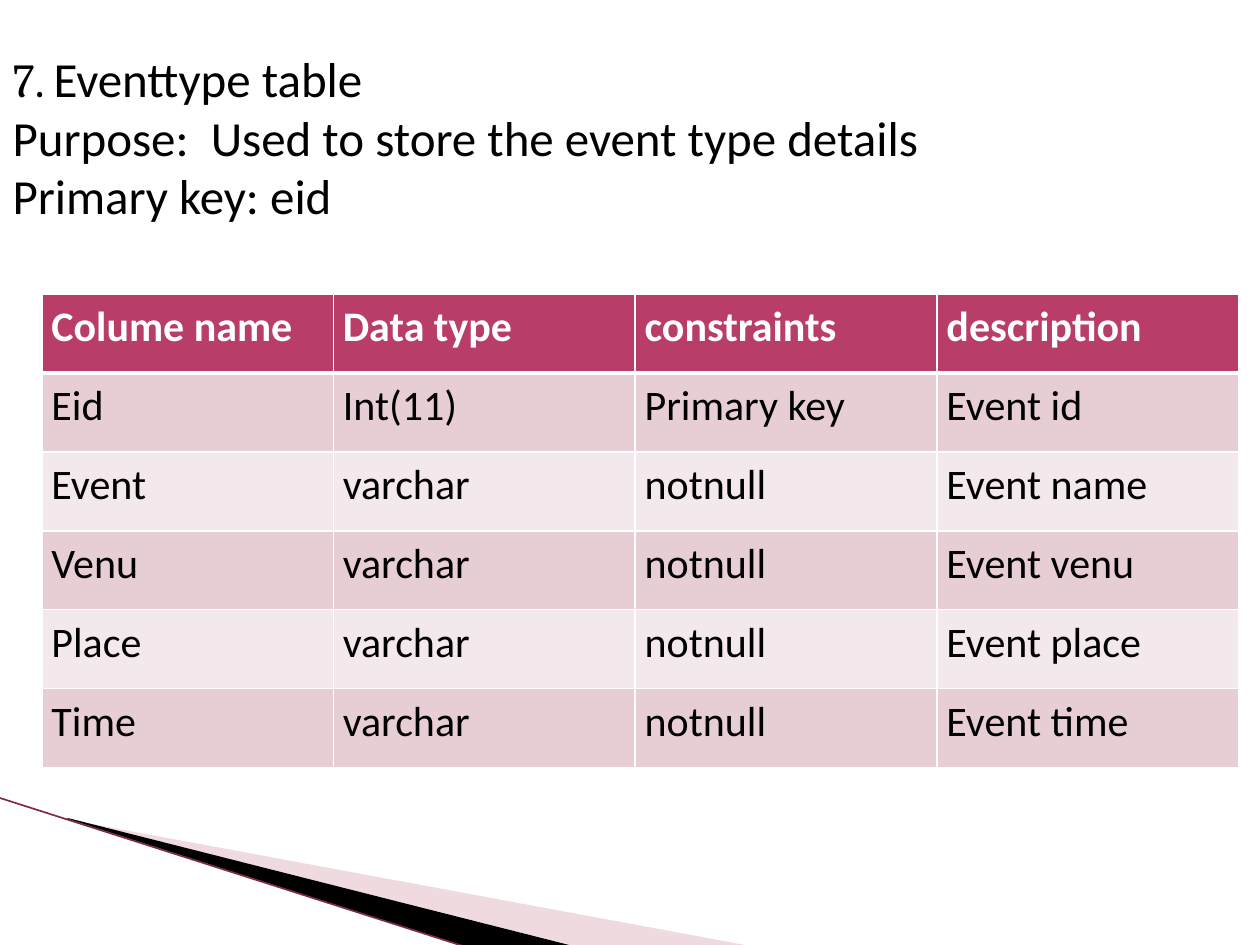
from dataclasses import dataclass

from lxml import etree
from pptx import Presentation
from pptx.dml.color import RGBColor
from pptx.enum.shapes import MSO_CONNECTOR
from pptx.enum.text import MSO_ANCHOR, MSO_AUTO_SIZE, PP_ALIGN
from pptx.oxml.ns import qn
from pptx.util import Pt

STRAIGHT = MSO_CONNECTOR.STRAIGHT
TOP = MSO_ANCHOR.TOP
NO_FIT = MSO_AUTO_SIZE.NONE
LEFT = PP_ALIGN.LEFT


@dataclass(frozen=True)
class Theme:
    ink: str = "000000"
    white: str = "FFFFFF"
    head: str = "B83D68"
    bands: tuple[str, str] = ("E6CED4", "F3E8EB")
    blush: str = "D8A3AF"
    edge: str = "7F2A48"
    sans: str = "Calibri"
    serif: str = "Cambria"
    mark_size: float = 27
    lead_size: float = 28
    cell_size: float = 24


@dataclass(frozen=True)
class Span:
    text: str
    font: str
    size: float
    color: str
    bold: bool = False


@dataclass(frozen=True)
class Wedge:
    frame: tuple[float, float, float, float]
    points: tuple[tuple[float, float], ...]
    color: str
    alpha: int = 100


THEME = Theme()
WEDGES = (
    Wedge((56.2, 393.8, 299.5, 113.8),
          ((39.6, 468.5), (428.4, 540.5), (328.3, 540.5), (39.6, 468)),
          THEME.blush, 40),
    Wedge((-4.3, 455.8, 299.5, 66.2),
          ((38.2, 467.3), (328.5, 540.8), (267.8, 541.4), (38.9, 468)),
          THEME.ink),
)
LEADS = (
    (
        Span("7. ", THEME.serif, THEME.mark_size, THEME.ink),
        Span("Eventtype table", THEME.sans, THEME.lead_size, THEME.ink),
    ),
    (Span("Purpose:  Used to store the event type details",
          THEME.sans, THEME.lead_size, THEME.ink),),
    (Span("Primary key: eid", THEME.sans, THEME.lead_size, THEME.ink),),
)
ROWS = (
    ("Colume name", "Data type", "constraints", "description"),
    ("Eid", "Int(11)", "Primary key", "Event id"),
    ("Event", "varchar", "notnull", "Event name"),
    ("Venu", "varchar", "notnull", "Event venu"),
    ("Place", "varchar", "notnull", "Event place"),
    ("Time", "varchar", "notnull", "Event time"),
)
WIDTHS = (166.5, 172.5, 172.5, 172.5)
ROW_HEIGHT = 45.12


def add_span(para, span: Span) -> None:
    run = para.add_run()
    run.text = span.text
    font = run.font
    font.name, font.size, font.bold = span.font, Pt(span.size), span.bold
    font.color.rgb = RGBColor.from_string(span.color)


def set_frame(shape, frame: tuple[float, float, float, float]) -> None:
    left, top, width, height = map(Pt, frame)
    shift = {"x": shape.left - left, "y": shape.top - top}
    trace = shape.element.spPr.find(".//" + qn("a:path"))
    trace.set("w", str(width))
    trace.set("h", str(height))
    for point in trace.iter(qn("a:pt")):
        for axis, delta in shift.items():
            point.set(axis, str(int(point.get(axis)) + delta))
    shape.left, shape.top, shape.width, shape.height = left, top, width, height


def draw_wedge(slide, wedge: Wedge) -> None:
    points = [(Pt(x), Pt(y)) for x, y in wedge.points]
    pen = slide.shapes.build_freeform(*points[0])
    pen.add_line_segments(points[1:], close=True)
    shape = pen.convert_to_shape()
    set_frame(shape, wedge.frame)
    shape.shadow.inherit = False
    shape.line.fill.background()
    shape.fill.solid()
    shape.fill.fore_color.rgb = RGBColor.from_string(wedge.color)
    if wedge.alpha < 100:
        color = shape.element.spPr.find(".//" + qn("a:srgbClr"))
        etree.SubElement(color, qn("a:alpha"), val=str(wedge.alpha * 1000))


def draw_edge(slide) -> None:
    edge = slide.shapes.add_connector(
        STRAIGHT, Pt(-0.7), Pt(455.8), Pt(267.1), Pt(541.4))
    edge.line.color.rgb = RGBColor.from_string(THEME.edge)
    edge.line.width = Pt(0.95)
    etree.SubElement(edge.element.spPr, qn("a:effectLst"))


def write_leads(body) -> None:
    body.left, body.top, body.width, body.height = Pt(0), Pt(24), Pt(648), Pt(120)
    frame = body.text_frame
    frame.word_wrap = True
    frame.auto_size = NO_FIT
    frame.vertical_anchor = TOP
    for place, spans in enumerate(LEADS):
        para = frame.add_paragraph() if place else frame.paragraphs[0]
        props = para._p.get_or_add_pPr()
        props.set("marL", "0")
        props.set("indent", "0")
        etree.SubElement(props, qn("a:buNone"))
        para.alignment = LEFT
        para.space_before = Pt(0)
        for span in spans:
            add_span(para, span)


def set_border(cell, side: str, width: float) -> None:
    line = etree.SubElement(cell._tc.get_or_add_tcPr(), qn("a:ln" + side),
                            w=str(Pt(width)))
    fill = etree.SubElement(line, qn("a:solidFill"))
    etree.SubElement(fill, qn("a:srgbClr"), val=THEME.white)


def fill_cell(cell, text: str, row: int) -> None:
    head = row == 0
    cell.margin_left = cell.margin_right = Pt(5.4)
    cell.margin_top = cell.margin_bottom = Pt(0)
    cell.vertical_anchor = TOP
    thick = {0: "B", 1: "T"}.get(row)
    for side in "LRTB":
        set_border(cell, side, 3 if side == thick else 1)
    cell.fill.solid()
    color = THEME.head if head else THEME.bands[(row - 1) % 2]
    cell.fill.fore_color.rgb = RGBColor.from_string(color)
    para = cell.text_frame.paragraphs[0]
    para.line_spacing = 1.15
    ink = THEME.white if head else THEME.ink
    add_span(para, Span(text, THEME.sans, THEME.cell_size, ink, head))


def draw_table(slide) -> None:
    table = slide.shapes.add_table(
        len(ROWS), len(WIDTHS), Pt(24), Pt(168),
        Pt(sum(WIDTHS)), Pt(ROW_HEIGHT * len(ROWS))).table
    for column, width in zip(table.columns, WIDTHS):
        column.width = Pt(width)
    for row, texts in enumerate(ROWS):
        table.rows[row].height = Pt(ROW_HEIGHT)
        for col, text in enumerate(texts):
            fill_cell(table.cell(row, col), text, row)


def main() -> None:
    deck = Presentation()
    deck.slide_width, deck.slide_height = Pt(720), Pt(540)
    slide = deck.slides.add_slide(deck.slide_layouts[1])
    title = slide.shapes.title.element
    title.getparent().remove(title)
    body = slide.placeholders[1]
    for wedge in WEDGES:
        draw_wedge(slide, wedge)
    draw_edge(slide)
    write_leads(body)
    draw_table(slide)
    deck.save("out.pptx")


if __name__ == "__main__":
    main()
